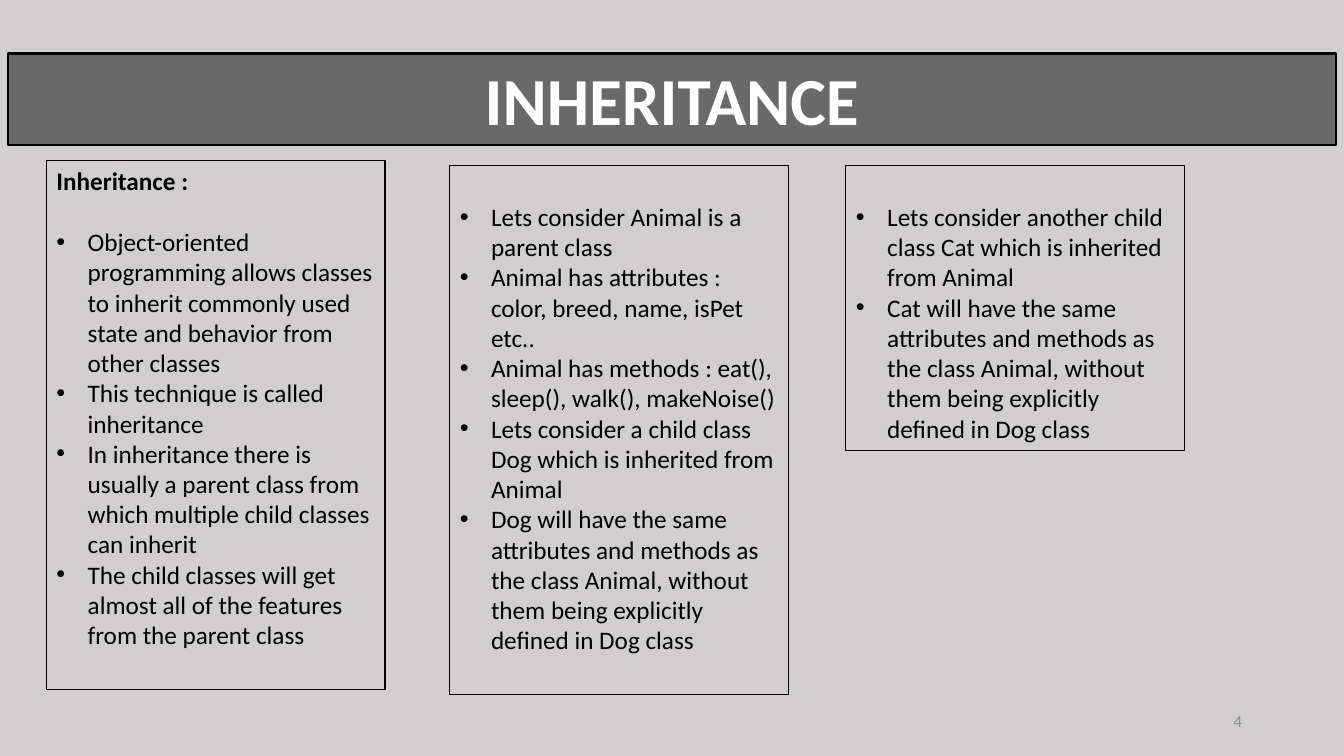
from lxml.etree import SubElement as Sub
from pptx import Presentation
from pptx.dml.color import RGBColor as Rgb
from pptx.enum.text import MSO_ANCHOR as Anchor, MSO_AUTO_SIZE as Fit, PP_ALIGN as Align
from pptx.oxml.ns import qn
from pptx.util import Inches, Pt

WIDE, HIGH = Inches(13.33), Inches(7.5)
BLACK, WHITE = Rgb(0, 0, 0), Rgb(255, 255, 255)
BACK, GREY = Rgb(0xD0, 0xCE, 0xCE), Rgb(0x8C, 0x8C, 0x8C)
LINE = Pt(22)  # one text line at 18 points

# Placeholder index, left, top and height in percent, heading, bullets
CARDS = [
    (1, 3.45, 21.2, 70, "Inheritance :", [
        "Object-oriented programming allows classes to inherit commonly used "
        "state and behavior from other classes",
        "This technique is called inheritance",
        "In inheritance there is usually a parent class from which multiple "
        "child classes can inherit",
        "The child classes will get almost all of the features from the "
        "parent class"]),
    (2, 33.46, 21.87, 70, None, [
        "Lets consider Animal is a parent class",
        "Animal has attributes : color, breed, name, isPet etc..",
        "Animal has methods : eat(), sleep(), walk(), makeNoise()",
        "Lets consider a child class Dog which is inherited from Animal",
        "Dog will have the same attributes and methods as the class Animal, "
        "without them being explicitly defined in Dog class"]),
    (3, 62.94, 21.87, 37.73, None, [
        "Lets consider another child class Cat which is inherited from Animal",
        "Cat will have the same attributes and methods as the class Animal, "
        "without them being explicitly defined in Dog class"]),
]


def area(x, y, w, h):
    """Turn percent of the slide into lengths."""
    return [int(WIDE * x / 100), int(HIGH * y / 100),
            int(WIDE * w / 100), int(HIGH * h / 100)]


def place(shape, *box):
    """Move a shape to a box given in percent."""
    shape.left, shape.top, shape.width, shape.height = area(*box)


def frame(shape, top=0.05, anchor=Anchor.TOP):
    """Set wrapping, insets and anchor; return the text frame."""
    text = shape.text_frame
    text.word_wrap, text.auto_size = True, Fit.NONE
    text.vertical_anchor = anchor
    text.margin_left = text.margin_right = Inches(0.1)
    text.margin_top, text.margin_bottom = Inches(top), Inches(0.05)
    return text


def write(para, words, size=18, color=BLACK, bold=False, align=Align.LEFT,
          after=0, bullet=False):
    """Fill a paragraph with formatted text."""
    run = para.add_run()
    run.text = words
    font = run.font
    font.name, font.size, font.bold = "Calibri", Pt(size), bold
    font.color.rgb = color
    para.alignment, para.line_spacing = align, 1.0
    para.space_before, para.space_after = Pt(0), after
    props = para._p.get_or_add_pPr()
    indent = Inches(0.31) if bullet else 0
    props.set("marL", str(indent))
    props.set("indent", str(-indent))
    if bullet:
        Sub(props, qn("a:buFont")).set("typeface", "Arial")
        Sub(props, qn("a:buChar")).set("char", "•")
    else:
        Sub(props, qn("a:buNone"))


def edge(shape, width):
    """Outline a shape in black."""
    shape.line.color.rgb, shape.line.width = BLACK, Pt(width)


def banner(shape, words):
    """Make the title a half-clear black band."""
    place(shape, 0.6, 7.07, 98.8, 12.13)
    shape.fill.solid()
    shape.fill.fore_color.rgb = BLACK
    tint = shape._element.spPr.find(qn("a:solidFill"))[0]
    Sub(tint, qn("a:alpha")).set("val", "49000")
    edge(shape, 1.75)
    write(frame(shape).paragraphs[0], words, size=48, color=WHITE, bold=True,
          align=Align.CENTER)


def card(shape, x, y, h, head, items):
    """Make an outlined list, one line down or under a heading."""
    place(shape, x, y, 25.2, h)
    edge(shape, 0.75)
    text = frame(shape, top=0.05 if head else 0.05 + LINE.inches)
    para = text.paragraphs[0]
    if head:
        write(para, head, bold=True, after=LINE)
        para = text.add_paragraph()
    for spot, item in enumerate(items):
        if spot:
            para = text.add_paragraph()
        write(para, item, bullet=True)


def main():
    """Build the slide and save it."""
    deck = Presentation()
    deck.slide_width, deck.slide_height = WIDE, HIGH
    slide = deck.slides.add_slide(deck.slide_layouts.get_by_name("Comparison"))
    slide.background.fill.solid()
    slide.background.fill.fore_color.rgb = BACK
    holes = {hole.placeholder_format.idx: hole for hole in slide.placeholders}
    banner(holes[0], "INHERITANCE")
    for key, *rest in CARDS:
        card(holes[key], *rest)
    spare = holes[4]._element
    spare.getparent().remove(spare)
    page = slide.shapes.add_textbox(*area(70.67, 92.67, 22.5, 5.33))
    write(frame(page, anchor=Anchor.MIDDLE).paragraphs[0], "4", size=12,
          color=GREY, align=Align.RIGHT)
    deck.save("out.pptx")


main()
